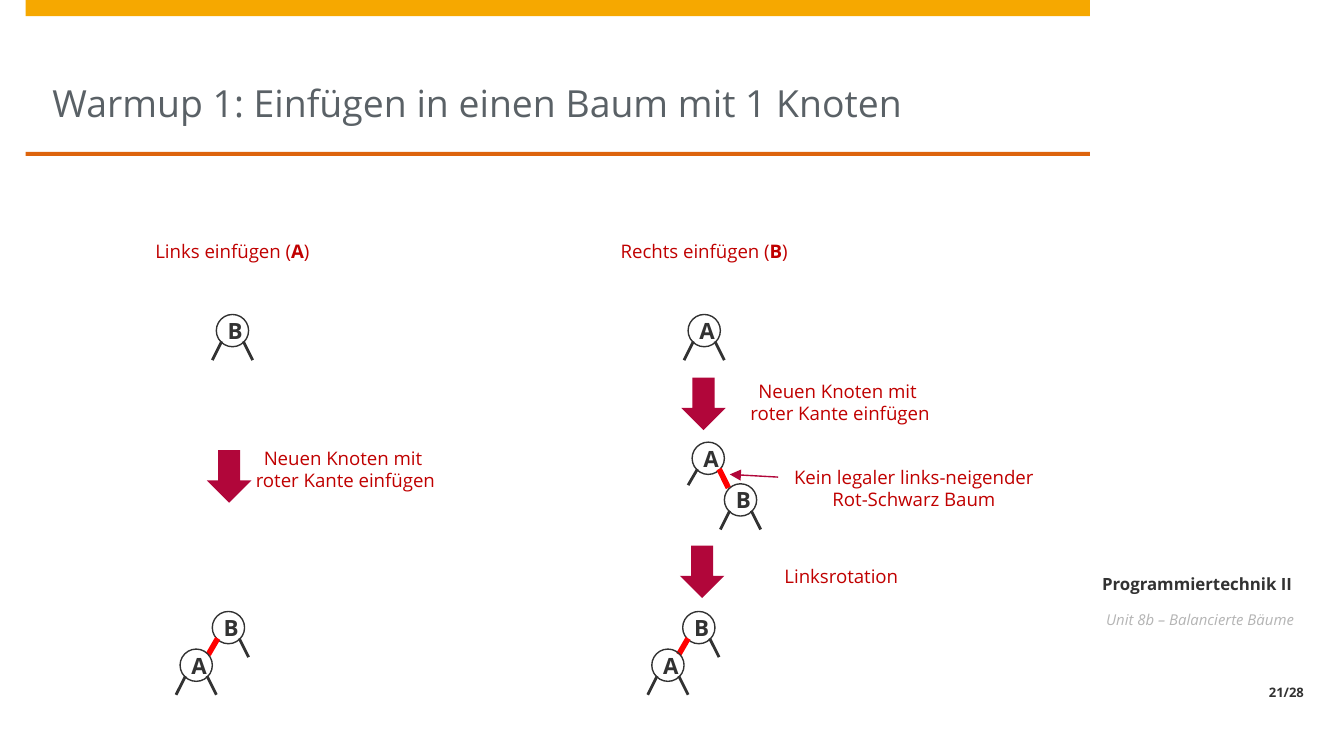
from lxml import etree
from pptx import Presentation
from pptx.dml.color import RGBColor
from pptx.enum.shapes import MSO_CONNECTOR, MSO_SHAPE
from pptx.enum.text import MSO_ANCHOR, MSO_AUTO_SIZE, PP_ALIGN
from pptx.oxml.ns import qn
from pptx.util import Inches, Pt

LEFT, CENTER, RIGHT = PP_ALIGN.LEFT, PP_ALIGN.CENTER, PP_ALIGN.RIGHT
TOP, MIDDLE, BOTTOM = MSO_ANCHOR.TOP, MSO_ANCHOR.MIDDLE, MSO_ANCHOR.BOTTOM
RECT, OVAL, DOWN_ARROW = MSO_SHAPE.RECTANGLE, MSO_SHAPE.OVAL, MSO_SHAPE.DOWN_ARROW
STRAIGHT = MSO_CONNECTOR.STRAIGHT
FONT = "Open Sans"
COLORS = {
    "bar": "F6A800", "rule": "DD640C", "title": "5A6166", "ink": "323232",
    "muted": "B4B4B4", "label": "C00000", "red_edge": "FF0000", "arrow": "B1063A",
}
NODE = 0.24


def write(sp, runs, size, color, align=CENTER, anchor=MIDDLE, insets=(0, 0, 0, 0),
          space=3, wrap=True):
    """Fill a shape with one paragraph of (text, bold, italic) runs."""
    tf = sp.text_frame
    tf.auto_size = MSO_AUTO_SIZE.NONE
    tf.word_wrap = wrap
    tf.vertical_anchor = anchor
    tf.margin_left, tf.margin_top, tf.margin_right, tf.margin_bottom = map(Inches, insets)
    p = tf.paragraphs[0]
    p.alignment = align
    p.space_before = p.space_after = Pt(space)
    for text, bold, italic in runs:
        for i, line in enumerate(text.split("\n")):
            if i:
                p.add_line_break()
            r = p.add_run()
            r.text = line
            r.font.name, r.font.size = FONT, Pt(size)
            r.font.bold, r.font.italic = bold, italic
            r.font.color.rgb = RGBColor.from_string(COLORS[color])


def add_line(x1, y1, x2, y2, color, width):
    cx = s.shapes.add_connector(STRAIGHT, *map(Inches, (x1, y1, x2, y2)))
    cx.line.color.rgb = RGBColor.from_string(COLORS[color])
    cx.line.width = Pt(width)
    etree.SubElement(cx._element.spPr, qn("a:effectLst"))
    return cx


prs = Presentation()
prs.slide_width = Inches(10)
prs.slide_height = prs.slide_width * 9 // 16
s = prs.slides.add_slide(prs.slide_layouts[5])

# Title
title = s.shapes.title
title.left, title.top, title.width, title.height = map(Inches, (0.39, 0.12, 7.52, 1.01))
write(title, [("Warmup 1: Einfügen in einen Baum mit 1 Knoten", False, False)], 20, "title",
      align=LEFT, anchor=BOTTOM, insets=(0, 0, 0, 0.2), space=0)

# Bars and step arrows
blocks = [
    (RECT, 0.19, 0, 7.92, 0.12, "bar"),
    (RECT, 0.19, 1.13, 7.92, 0.03, "rule"),
    (DOWN_ARROW, 1.54, 3.35, 0.33, 0.39, "arrow"),
    (DOWN_ARROW, 5.07, 2.81, 0.33, 0.39, "arrow"),
    (DOWN_ARROW, 5.06, 4.06, 0.33, 0.39, "arrow"),
]
for kind, x, y, w, h, color in blocks:
    sp = s.shapes.add_shape(kind, *map(Inches, (x, y, w, h)))
    sp.shadow.inherit = False
    sp.fill.solid()
    sp.fill.fore_color.rgb = RGBColor.from_string(COLORS[color])
    sp.line.fill.background()

# Side column
side_texts = [
    ("Programmiertechnik II", 3.9, 0.57, 9, "ink", True, False, CENTER, BOTTOM, 0),
    ("Unit 8b – Balancierte Bäume", 4.54, 0.52, 8, "muted", False, True, LEFT, TOP, 0.12),
    ("21/28", 5.06, 0.2, 7, "ink", True, False, RIGHT, BOTTOM, 0.12),
]
for text, y, h, size, color, bold, italic, align, anchor, inset in side_texts:
    sp = s.shapes.add_textbox(*map(Inches, (8.11, y, 1.69, h)))
    write(sp, [(text, bold, italic)], size, color, align, anchor, (inset, 0, 0.1, 0.05))

# Tree nodes: letter, left, top, colours of the left and right edge
nodes = [
    ("B", 1.61, 2.34, "ink", "ink"),
    ("B", 1.58, 4.55, "red_edge", "ink"),
    ("A", 1.34, 4.83, "ink", "ink"),
    ("A", 5.12, 2.34, "ink", "ink"),
    ("B", 5.08, 4.55, "red_edge", "ink"),
    ("A", 4.85, 4.83, "ink", "ink"),
    ("A", 5.15, 3.29, "ink", "red_edge"),
    ("B", 5.39, 3.6, "ink", "ink"),
]
for letter, x, y, left_color, right_color in nodes:
    sp = s.shapes.add_shape(OVAL, *map(Inches, (x, y, NODE, NODE)))
    sp.shadow.inherit = False
    sp.fill.background()
    sp.line.color.rgb = RGBColor.from_string(COLORS["ink"])
    sp.line.width = Pt(0.75)
    write(sp, [(letter, True, False)], 12, "ink", insets=(0.12, 0.08, 0.12, 0.08))
    center = x + NODE / 2
    left_drop = 0.34 if left_color == right_color else 0.32
    for side, color, drop in ((-1, left_color, left_drop), (1, right_color, 0.34)):
        add_line(center + side * 0.08, y + 0.2, center + side * 0.15, y + drop,
                 color, 3 if color == "red_edge" else 1.5)

# Labels
insert_step = [("Neuen Knoten mit \nroter Kante einfügen", False, False)]
labels = [
    (1.18, 1.69, [("Links einfügen (", False, False), ("A", True, False), (")", False, False)]),
    (4.69, 1.69, [("Rechts einfügen (", False, False), ("B", True, False), (")", False, False)]),
    (2.02, 3.31, insert_step),
    (5.7, 2.81, insert_step),
    (6.25, 3.45, [("Kein legaler links-neigender\nRot-Schwarz Baum", False, False)]),
    (5.71, 4.11, [("Linksrotation", False, False)]),
]
for x, y, runs in labels:
    sp = s.shapes.add_textbox(*map(Inches, (x, y, 1.1, 0.36)))
    write(sp, runs, 10, "label", wrap=False)

# Pointer to the illegal edge
pointer = add_line(5.79, 3.55, 5.43, 3.53, "arrow", 0.75)
ln = pointer._element.spPr.find(qn("a:ln"))
etree.SubElement(ln, qn("a:tailEnd"), type="triangle")

prs.save("out.pptx")
